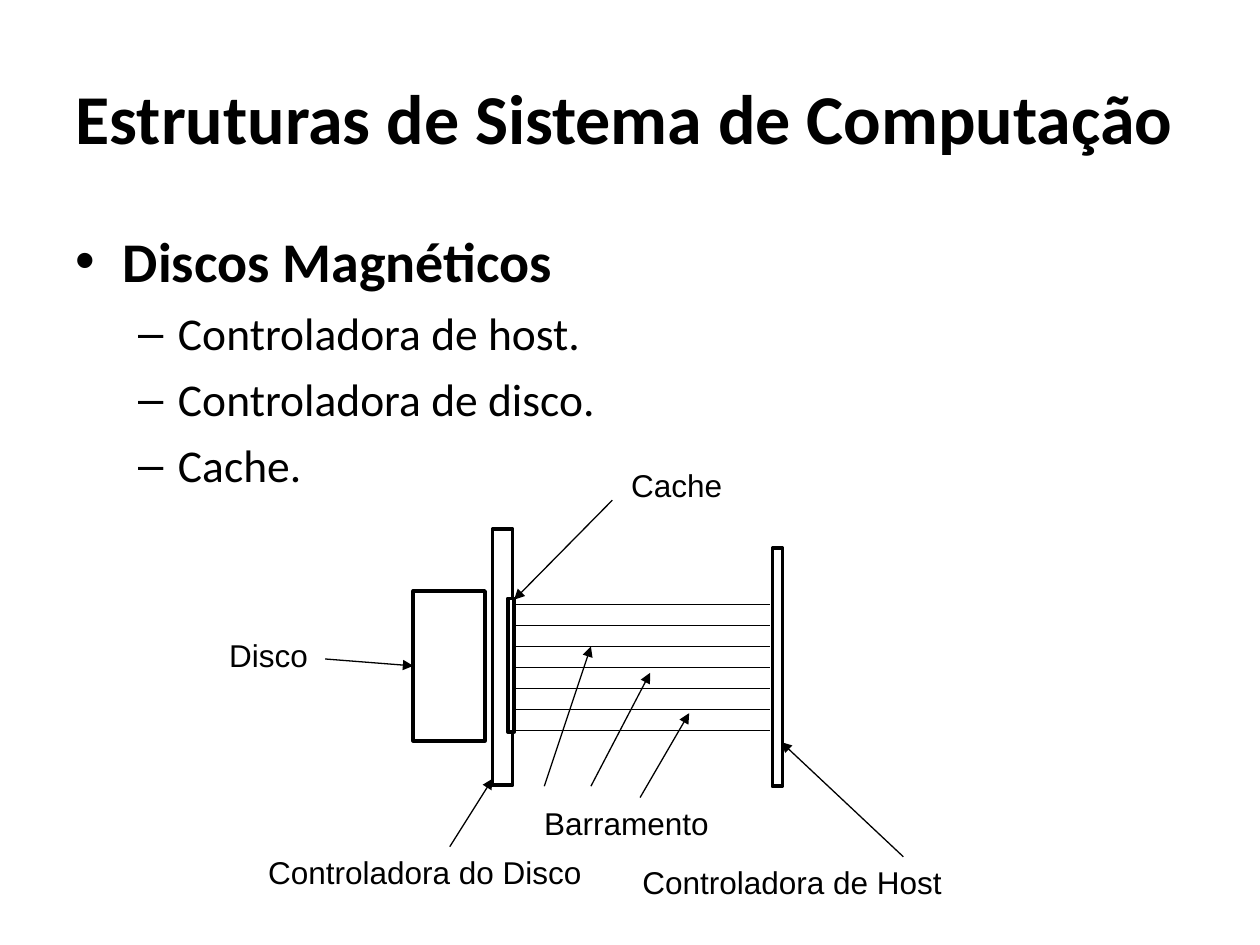
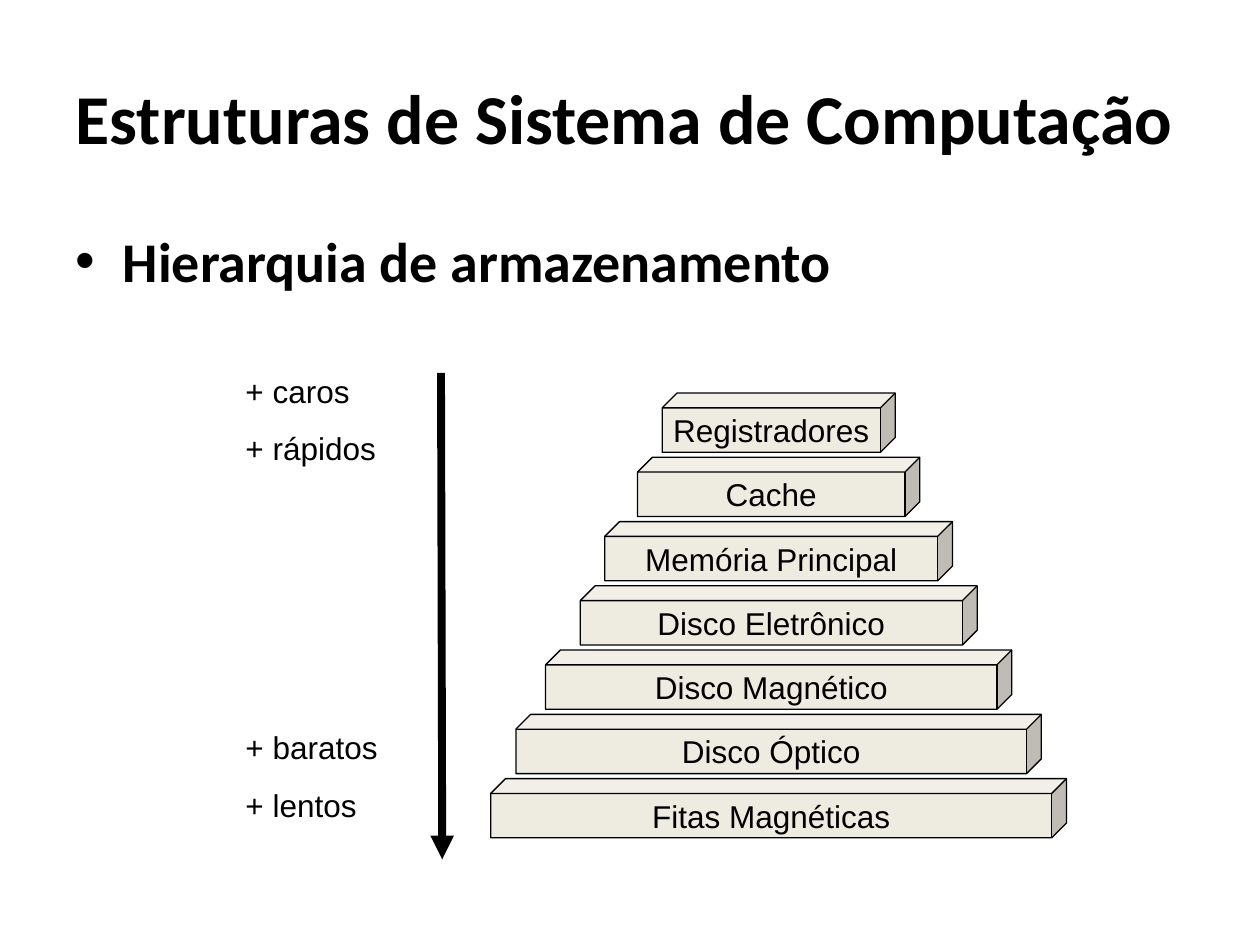
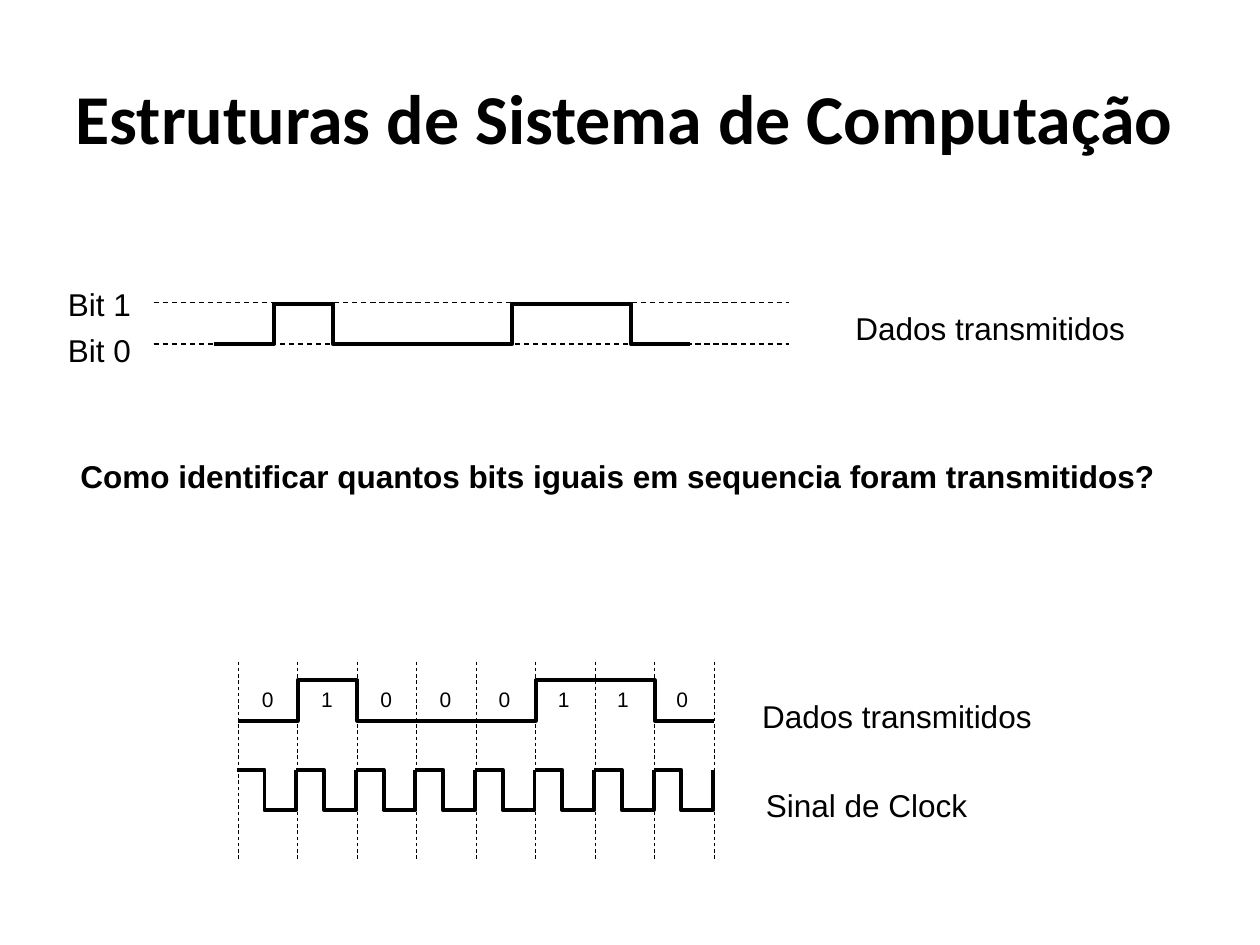
from lxml import etree
from pptx import Presentation
from pptx.dml.color import RGBColor
from pptx.enum.dml import MSO_LINE
from pptx.enum.shapes import MSO_CONNECTOR, MSO_SHAPE
from pptx.enum.text import MSO_ANCHOR, MSO_AUTO_SIZE, PP_ALIGN
from pptx.oxml.ns import qn
from pptx.util import Inches, Pt

RECTANGLE, CUBE = MSO_SHAPE.RECTANGLE, MSO_SHAPE.CUBE
STRAIGHT, DASH = MSO_CONNECTOR.STRAIGHT, MSO_LINE.DASH
LEFT, CENTER, MIDDLE = PP_ALIGN.LEFT, PP_ALIGN.CENTER, MSO_ANCHOR.MIDDLE
NO_AUTOFIT = MSO_AUTO_SIZE.NONE
BLACK, WHITE, BEIGE = "000000", "FFFFFF", "EEECE1"
HEADING_FONT, LABEL_FONT = "Calibri", "Arial"
TITLE = "Estruturas de Sistema de Computação"
LEFT_SIDE = 1
color = RGBColor.from_string


def write(frame, text, size=18, font=LABEL_FONT, bold=False, align=LEFT,
          before=0, level=0):
    """Fill the empty first paragraph of the frame, or add one after the last."""
    paragraph = frame.add_paragraph() if frame.text else frame.paragraphs[0]
    paragraph.level = level
    paragraph.alignment = align
    paragraph.space_before = Pt(before)
    run = paragraph.add_run()
    run.text = text
    run.font.name = font
    run.font.size = Pt(size)
    run.font.bold = bold
    run.font.color.rgb = color(BLACK)
    return paragraph


def add_line(slide, start, end, width=0.75, dash=None, arrow=False):
    connector = slide.shapes.add_connector(STRAIGHT, *map(Inches, start + end))
    connector.line.color.rgb = color(BLACK)
    connector.line.width = Pt(width)
    if dash:
        connector.line.dash_style = dash
    if arrow:
        line = connector.line._get_or_add_ln()
        etree.SubElement(line, qn("a:tailEnd")).set("type", "triangle")
    etree.SubElement(connector._element.spPr, qn("a:effectLst"))
    return connector


presentation = Presentation()
presentation.slide_width = Inches(10)
presentation.slide_height = Inches(7.5)

# Titles and lists: layout, title top and height, list height, list items
CONTENT_LAYOUT, TITLE_ONLY_LAYOUT = 1, 5
outlines = [
    (CONTENT_LAYOUT, 0.3, 1.25, 2.31,
     ["Discos Magnéticos", "Controladora de host.", "Controladora de disco.", "Cache."]),
    (CONTENT_LAYOUT, 0.3, 1.25, 0.9, ["Hierarquia de armazenamento"]),
    (TITLE_ONLY_LAYOUT, 0.21, 1.43, None, []),
]
for layout, title_top, title_height, list_height, items in outlines:
    slide = presentation.slides.add_slide(presentation.slide_layouts[layout])
    title = slide.shapes.title
    title.left, title.top = Inches(0.5), Inches(title_top)
    title.width, title.height = Inches(9), Inches(title_height)
    title.text_frame.auto_size = NO_AUTOFIT
    title.text_frame.vertical_anchor = MIDDLE
    write(title.text_frame, TITLE, size=40, font=HEADING_FONT, bold=True)
    if items:
        body = slide.placeholders[1]
        body.left, body.top = Inches(0.5), Inches(1.75)
        body.width, body.height = Inches(9), Inches(list_height)
        body.text_frame.auto_size = NO_AUTOFIT
        write(body.text_frame, items[0], size=32, font=HEADING_FONT, bold=True)
        for item in items[1:]:
            write(body.text_frame, item, size=26, font=HEADING_FONT, before=6.5, level=1)

disk_slide, hierarchy_slide, signal_slide = presentation.slides

# Labels: slide, left, top, width, height, lines
labels = [
    (disk_slide, 1.72, 5, 1.02, 0.4, ["Disco"]),
    (disk_slide, 2.03, 6.72, 2.81, 0.4, ["Controladora do Disco"]),
    (disk_slide, 4.22, 6.33, 1.72, 0.4, ["Barramento"]),
    (disk_slide, 5, 6.8, 2.89, 0.4, ["Controladora de Host"]),
    (disk_slide, 4.91, 3.65, 1.72, 0.4, ["Cache"]),
    (hierarchy_slide, 1.85, 2.9, 1.34, 0.86, ["+ caros", "+ rápidos"]),
    (hierarchy_slide, 1.85, 5.73, 1.34, 0.86, ["+ baratos", "+ lentos"]),
    (signal_slide, 6.69, 2.4, 2.72, 0.4, ["Dados transmitidos"]),
    (signal_slide, 5.95, 5.48, 2.72, 0.4, ["Dados transmitidos"]),
    (signal_slide, 5.98, 6.19, 2.72, 0.4, ["Sinal de Clock"]),
]
for slide, *box, lines in labels:
    frame = slide.shapes.add_textbox(*map(Inches, box)).text_frame
    frame.word_wrap = True
    for index, text in enumerate(lines):
        write(frame, text, before=11.2 if index else 0)

# Slide 1: disk, controllers, cache and bus
parts = {
    "disk": (3.28, 4.69, 0.57, 1.19),
    "disk controller": (3.91, 4.2, 0.16, 2.03),
    "cache": (4.03, 4.75, 0.05, 1.06),
    "host controller": (6.13, 4.35, 0.08, 1.89),
}
part_shapes = {}
for name, box in parts.items():
    shape = disk_slide.shapes.add_shape(RECTANGLE, *map(Inches, box))
    shape.shadow.inherit = False
    shape.fill.solid()
    shape.fill.fore_color.rgb = color(WHITE)
    shape.line.color.rgb = color(BLACK)
    shape.line.width = Pt(2)
    part_shapes[name] = shape

for wire in range(7):
    wire_top = 4.8 + wire / 6
    add_line(disk_slide, (4.08, wire_top), (6.11, wire_top))

disk_arrow = add_line(disk_slide, (2.58, 5.23), (3.28, 5.28), arrow=True)
disk_arrow.end_connect(part_shapes["disk"], LEFT_SIDE)
pointers = [
    ((3.57, 6.72), (3.91, 6.18)),
    ((4.32, 6.24), (4.69, 5.13)),
    ((4.69, 6.24), (5.16, 5.34)),
    ((5.08, 6.33), (5.47, 5.66)),
    ((7.17, 6.8), (6.2, 5.89)),
    ((4.86, 3.97), (4.08, 4.76)),
]
for start, end in pointers:
    add_line(disk_slide, start, end, arrow=True)

# Slide 2: storage pyramid
PYRAMID_CENTER = 6.18
storage_levels = [
    ("Registradores", 1.85), ("Cache", 2.24), ("Memória Principal", 2.76),
    ("Disco Eletrônico", 3.15), ("Disco Magnético", 3.7), ("Disco Óptico", 4.17),
    ("Fitas Magnéticas", 4.57),
]
for index, (text, width) in enumerate(storage_levels):
    box = (PYRAMID_CENTER - width / 2, 3.12 + 0.51 * index, width, 0.47)
    cube = hierarchy_slide.shapes.add_shape(CUBE, *map(Inches, box))
    cube.shadow.inherit = False
    cube.fill.solid()
    cube.fill.fore_color.rgb = color(BEIGE)
    cube.line.color.rgb = color(BLACK)
    cube.line.width = Pt(0.75)
    cube.text_frame.word_wrap = False
    cube.text_frame.vertical_anchor = MIDDLE
    write(cube.text_frame, text, align=CENTER)

add_line(hierarchy_slide, (3.5, 2.96), (3.51, 6.82), width=4.5, arrow=True)

# Slide 3: data and clock signals
BITS = "01000110"
BIT_WIDTH = 3.78 / len(BITS)
WAVE_HEIGHT = 0.32
GRID_LEFT = 1.89

for level_top in (2.4, 2.73):
    add_line(signal_slide, (1.22, level_top), (6.26, level_top), dash=DASH)
for index in range(len(BITS) + 1):
    x = GRID_LEFT + index * BIT_WIDTH
    add_line(signal_slide, (x, 5.25), (x, 6.82), width=0.5, dash=DASH)

waves = []
for left, top in ((1.7, 2.41), (GRID_LEFT, 5.4)):
    wave = []
    for index, bit in enumerate(BITS):
        x = left + index * BIT_WIDTH
        y = top if bit == "1" else top + WAVE_HEIGHT
        wave += [(x, y), (x + BIT_WIDTH, y)]
    waves.append(wave)
for index in range(len(BITS)):
    x, high = 1.88 + index * BIT_WIDTH, 6.11
    low, fall, end = high + WAVE_HEIGHT, x + 0.22, x + BIT_WIDTH
    waves.append([(x, high), (fall, high), (fall, low), (end, low), (end, high)])

for wave in waves:
    points = [(Inches(x), Inches(y)) for x, y in wave]
    builder = signal_slide.shapes.build_freeform(*points[0])
    builder.add_line_segments(points[1:], close=False)
    signal = builder.convert_to_shape()
    signal.shadow.inherit = False
    signal.fill.background()
    signal.line.color.rgb = color(BLACK)
    signal.line.width = Pt(2.25)

bits_box = signal_slide.shapes.add_textbox(*map(Inches, (1.98, 5.4, 3.69, 0.3)))
bits_box.text_frame.word_wrap = True
bits_paragraph = write(bits_box.text_frame, "\t".join(BITS), size=12)
tab_list = etree.SubElement(bits_paragraph._p.get_or_add_pPr(), qn("a:tabLst"))
for index in range(1, len(BITS)):
    tab = etree.SubElement(tab_list, qn("a:tab"))
    tab.set("pos", str(Inches(0.47 * index)))
    tab.set("algn", "l")

levels_box = signal_slide.shapes.add_textbox(*map(Inches, (0.44, 2.21, 0.7, 0.75)))
levels_box.text_frame.word_wrap = False
write(levels_box.text_frame, "Bit 1")
write(levels_box.text_frame, "Bit 0", before=5)

question_box = signal_slide.shapes.add_textbox(*map(Inches, (0.54, 3.58, 8.73, 0.4)))
question_box.text_frame.word_wrap = False
write(question_box.text_frame,
      "Como identificar quantos bits iguais em sequencia foram transmitidos?", bold=True)

presentation.save("out.pptx")
